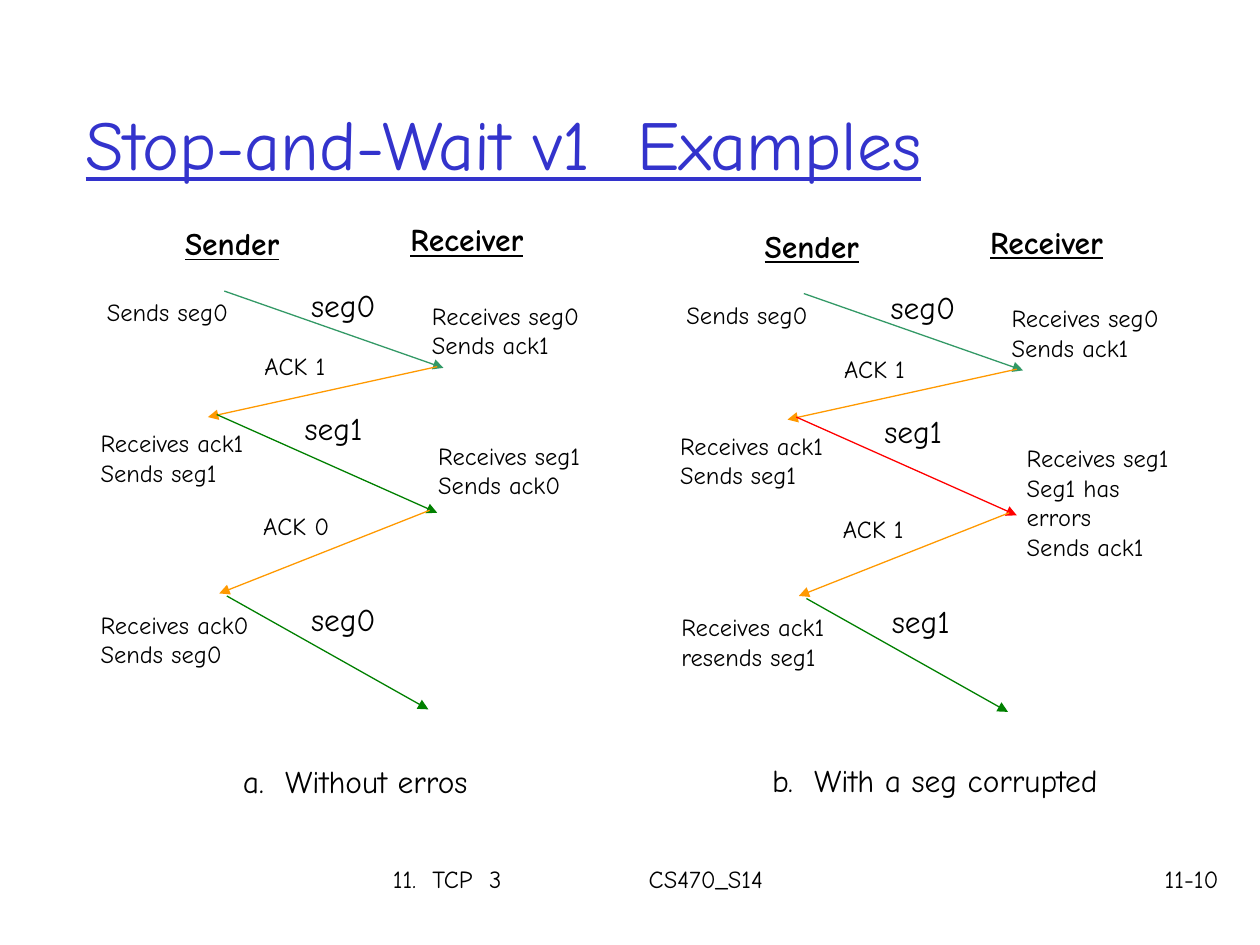
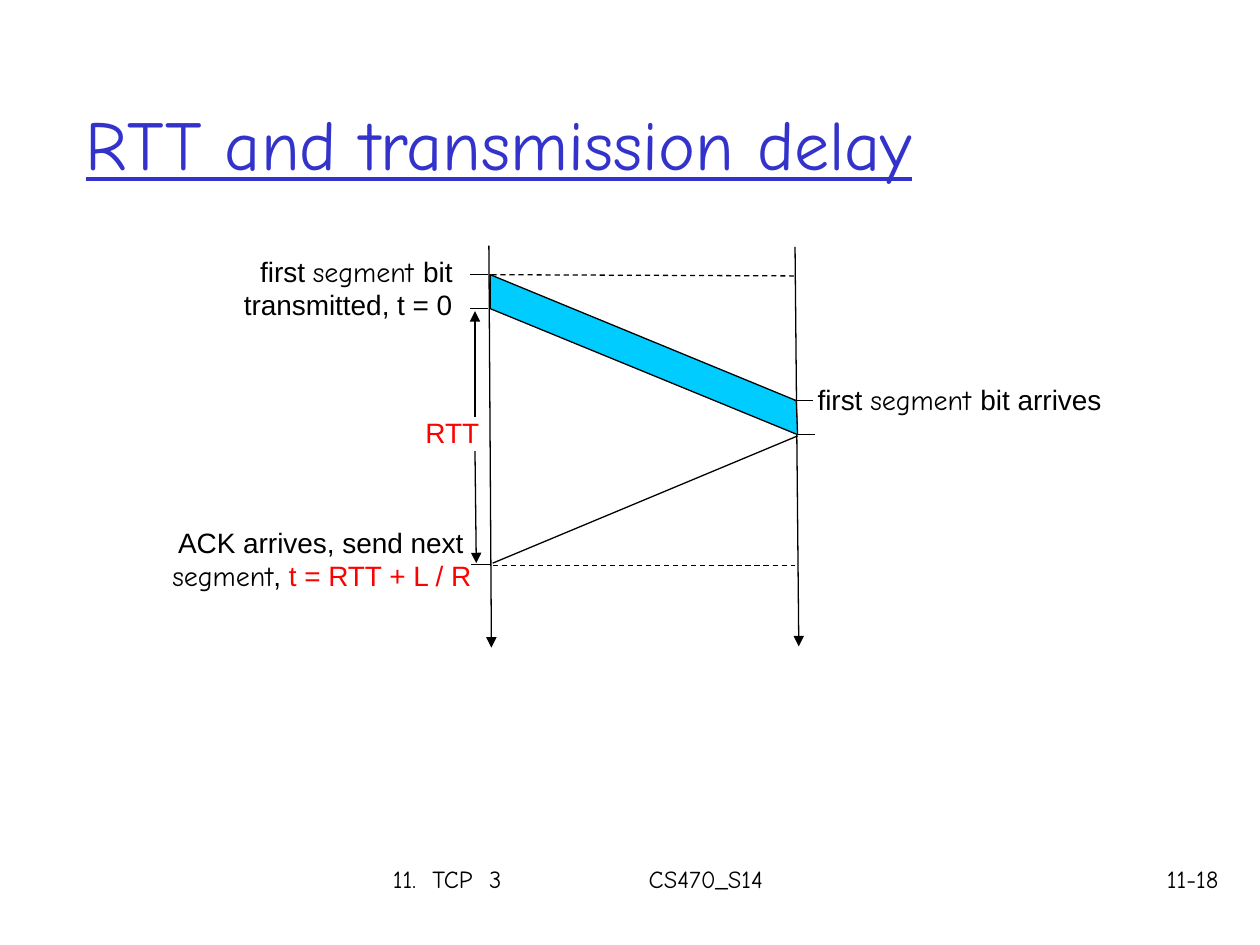
"""Build two slides on stop-and-wait exchanges and transmission delay."""
from dataclasses import dataclass, field
from typing import Any, NamedTuple

import pptx
import pptx.dml.color
import pptx.enum.dml
import pptx.enum.shapes
import pptx.enum.text
import pptx.oxml
import pptx.oxml.ns
import pptx.util

RGBColor = pptx.dml.color.RGBColor
BLACK = RGBColor(0x00, 0x00, 0x00)
WHITE = RGBColor(0xFF, 0xFF, 0xFF)
TITLE_BLUE = RGBColor(0x33, 0x33, 0xCC)
TEAL = RGBColor(0x33, 0x99, 0x66)
GREEN = RGBColor(0x00, 0x80, 0x00)
ORANGE = RGBColor(0xFF, 0x99, 0x00)
RED = RGBColor(0xFF, 0x00, 0x00)
CYAN = RGBColor(0x00, 0xCC, 0xFF)

EMU_PER_PX = 9144
COMIC = "Comic Neue"
SMALL = {"name": COMIC, "size": pptx.util.Pt(14)}
LARGE = {"name": COMIC, "size": pptx.util.Pt(18)}
HEADING = {**LARGE, "bold": True, "underline": True}
TITLE = {"name": COMIC, "size": pptx.util.Pt(40), "underline": True}
SANS = {"name": "Arial", "size": pptx.util.Pt(16)}
SEGMENT = {**SANS, "name": COMIC}
RIGHT = pptx.enum.text.PP_ALIGN.RIGHT
LEFT = pptx.enum.text.PP_ALIGN.LEFT


class Run(NamedTuple):
    text: str
    style: dict[str, Any]
    color: RGBColor = BLACK


class Box(NamedTuple):
    x: int
    y: int
    w: int
    h: int


class Line(NamedTuple):
    x1: int
    y1: int
    x2: int
    y2: int
    color: RGBColor = BLACK
    arrow: bool = False
    dashed: bool = False


@dataclass
class Label:
    box: Box
    paragraphs: list[list[Run]]
    align: Any = LEFT
    wrap: bool = True
    fill: RGBColor | None = None


@dataclass
class Exchange:
    dx: int
    dy: int
    second_segment: RGBColor
    second_receipt: Label
    second_ack: str
    second_reply: Label
    last_segment: Label
    caption: Label
    labels: list[Label] = field(default_factory=list)


def px(n: int) -> pptx.util.Emu:
    """Turn px into EMU."""
    return pptx.util.Emu(n * EMU_PER_PX)


def plain(x: int, y: int, w: int, h: int, text: str, style: dict[str, Any], wrap: bool = False) -> Label:
    """Describe a label of one style, one paragraph a line."""
    return Label(Box(x, y, w, h), [[Run(t, style)] for t in text.split("\n")], wrap=wrap)


def write(p: Any, runs: list[Run], align: Any) -> None:
    """Fill a paragraph with formatted runs."""
    p.alignment = align
    for run in runs:
        r = p.add_run()
        r.text = run.text
        for name, value in run.style.items():
            setattr(r.font, name, value)
        r.font.color.rgb = run.color


def add_label(shapes: Any, label: Label, dx: int = 0, dy: int = 0) -> Any:
    """Draw a label, shifted by dx and dy."""
    b = label.box
    sp = shapes.add_textbox(px(b.x + dx), px(b.y + dy), px(b.w), px(b.h))
    tf = sp.text_frame
    tf.word_wrap = label.wrap
    if not label.wrap:
        tf.auto_size = pptx.enum.text.MSO_AUTO_SIZE.SHAPE_TO_FIT_TEXT
    if label.fill is not None:
        sp.fill.solid()
        sp.fill.fore_color.rgb = label.fill
    for i, runs in enumerate(label.paragraphs):
        write(tf.add_paragraph() if i else tf.paragraphs[0], runs, label.align)
    return sp


def add_line(shapes: Any, line: Line, dx: int = 0, dy: int = 0) -> None:
    """Draw a line or arrow, shifted by dx and dy."""
    c = shapes.add_connector(
        pptx.enum.shapes.MSO_CONNECTOR.STRAIGHT,
        px(line.x1 + dx), px(line.y1 + dy), px(line.x2 + dx), px(line.y2 + dy))
    c.line.color.rgb = line.color
    c.line.width = pptx.util.Pt(0.75)
    if line.dashed:
        c.line.dash_style = pptx.enum.dml.MSO_LINE.DASH
    sp_pr = c.element.spPr
    if line.arrow:
        tail = pptx.oxml.parse_xml(f'<a:tailEnd {pptx.oxml.ns.nsdecls("a")} type="triangle"/>')
        sp_pr.find(pptx.oxml.ns.qn("a:ln")).append(tail)
    sp_pr.append(pptx.oxml.parse_xml(f'<a:effectLst {pptx.oxml.ns.nsdecls("a")}/>'))


def add_slide(prs: Any, title: str, number: str) -> Any:
    """Add a slide with its title, footer and number."""
    s = prs.slides.add_slide(prs.slide_layouts[5])
    sp = s.shapes.title
    for name, value in zip(("left", "top", "width", "height"), (58, 51, 850, 124)):
        setattr(sp, name, px(value))
    tf = sp.text_frame
    tf.auto_size = pptx.enum.text.MSO_AUTO_SIZE.NONE
    tf.vertical_anchor = pptx.enum.text.MSO_ANCHOR.MIDDLE
    write(tf.paragraphs[0], [Run(title, TITLE, TITLE_BLUE)], LEFT)

    footer = add_label(s.shapes, plain(302, 681, 599, 50, "11.  TCP  3\tCS470_S14", SMALL, True))
    tabs = pptx.oxml.parse_xml(
        f'<a:tabLst {pptx.oxml.ns.nsdecls("a")}><a:tab pos="{px(203)}" algn="l"/></a:tabLst>')
    footer.text_frame.paragraphs[0]._p.get_or_add_pPr().append(tabs)
    add_label(s.shapes, Label(Box(878, 681, 99, 50), [[Run(number, SMALL)]], RIGHT))
    return s


def add_exchange(s: Any, ex: Exchange) -> None:
    """Draw one sender and receiver exchange."""
    shapes = s.shapes.add_group_shape().shapes
    lines = [
        Line(178, 231, 352, 292, TEAL, True),
        Line(347, 291, 165, 331, ORANGE, True),
        Line(172, 329, 347, 407, ex.second_segment, True),
        Line(341, 405, 174, 471, ORANGE, True),
        Line(180, 473, 340, 563, GREEN, True),
    ]
    labels = [
        plain(137, 173, 95, 40, "Sender", HEADING),
        plain(316, 170, 110, 40, "Receiver", HEADING),
        plain(237, 222, 71, 40, "seg0", LARGE),
        plain(75, 231, 116, 34, "Sends seg0", SMALL),
        plain(70, 335, 134, 57, "Receives ack1\nSends seg1", SMALL),
        plain(232, 320, 66, 40, "seg1", LARGE),
        plain(199, 401, 91, 34, ex.second_ack, SMALL, True),
        plain(200, 274, 91, 34, "ACK 1", SMALL, True),
        plain(333, 234, 137, 57, "Receives seg0\nSends ack1", SMALL),
        ex.second_receipt, ex.second_reply, ex.last_segment, ex.caption,
    ]
    for line in lines:
        add_line(shapes, line, ex.dx, ex.dy)
    for label in labels:
        add_label(shapes, label, ex.dx, ex.dy)


def add_examples(prs: Any) -> None:
    """Build the slide with two exchanges."""
    s = add_slide(prs, "Stop-and-Wait v1  Examples", "11-10")
    add_exchange(s, Exchange(
        0, 0, GREEN,
        plain(338, 345, 133, 57, "Receives seg1\nSends ack0", SMALL),
        "ACK 0",
        plain(70, 479, 138, 57, "Receives ack0\nSends seg0", SMALL),
        plain(237, 471, 71, 40, "seg0", LARGE),
        plain(183, 600, 199, 40, "a.  Without erros", LARGE)))
    add_exchange(s, Exchange(
        460, 2, RED,
        plain(345, 345, 151, 80, "Receives seg1\nSeg1 has errors\nSends ack1", SMALL),
        "ACK 1",
        plain(71, 479, 134, 57, "Receives ack1\nresends seg1", SMALL),
        plain(238, 471, 66, 40, "seg1", LARGE),
        plain(143, 597, 280, 40, "b.  With a seg corrupted", LARGE)))


def add_delay(prs: Any) -> None:
    """Build the slide with the timing diagram."""
    s = add_slide(prs, "RTT and transmission delay", "11-18")
    add_label(s.shapes, Label(Box(154, 197, 215, 68), [
        [Run("first ", SANS), Run("segment ", SEGMENT), Run("bit", SANS)],
        [Run("transmitted, t = 0", SANS)]], RIGHT, fill=WHITE))
    timeline = [
        Line(388, 195, 390, 514, arrow=True),
        Line(631, 196, 634, 513, arrow=True),
        Line(390, 218, 630, 219, dashed=True),
        Line(391, 449, 631, 449, dashed=True),
        Line(391, 447, 633, 346),
    ]
    for line in timeline:
        add_line(s.shapes, line)

    fb = s.shapes.build_freeform(389, 218, scale=EMU_PER_PX)
    fb.add_line_segments([(632, 318), (633, 345), (389, 245)], close=True)
    sp = fb.convert_to_shape()
    sp.shadow.inherit = False
    sp.fill.solid()
    sp.fill.fore_color.rgb = CYAN
    sp.line.color.rgb = BLACK
    sp.line.width = pptx.util.Pt(0.75)

    ticks = [(387, 373, 218), (387, 373, 245), (389, 374, 448), (645, 630, 318), (633, 647, 345)]
    for x1, x2, y in ticks:
        add_line(s.shapes, Line(x1, y, x2, y))
    add_line(s.shapes, Line(377, 358, 378, 447, arrow=True))
    add_line(s.shapes, Line(377, 331, 377, 247, arrow=True))

    tiny = {**SANS, "size": pptx.util.Pt(10)}
    labels = [
        Label(Box(301, 325, 93, 37), [[Run("RTT", SANS, RED), Run(" ", tiny)]], RIGHT),
        Label(Box(639, 299, 265, 39), [
            [Run("first ", SANS), Run("segment ", SEGMENT), Run("bit arrives", SANS)]]),
        Label(Box(90, 412, 294, 69), [
            [Run("ACK arrives, send next ", SANS)],
            [Run("segment", SEGMENT), Run(", ", SANS), Run("t = RTT + L / R", SANS, RED)]], RIGHT),
    ]
    for label in labels:
        add_label(s.shapes, label)


def main() -> None:
    """Build and save the presentation."""
    prs = pptx.Presentation()
    prs.slide_width, prs.slide_height = px(1000), px(750)
    add_examples(prs)
    add_delay(prs)
    prs.save("out.pptx")


if __name__ == "__main__":
    main()
